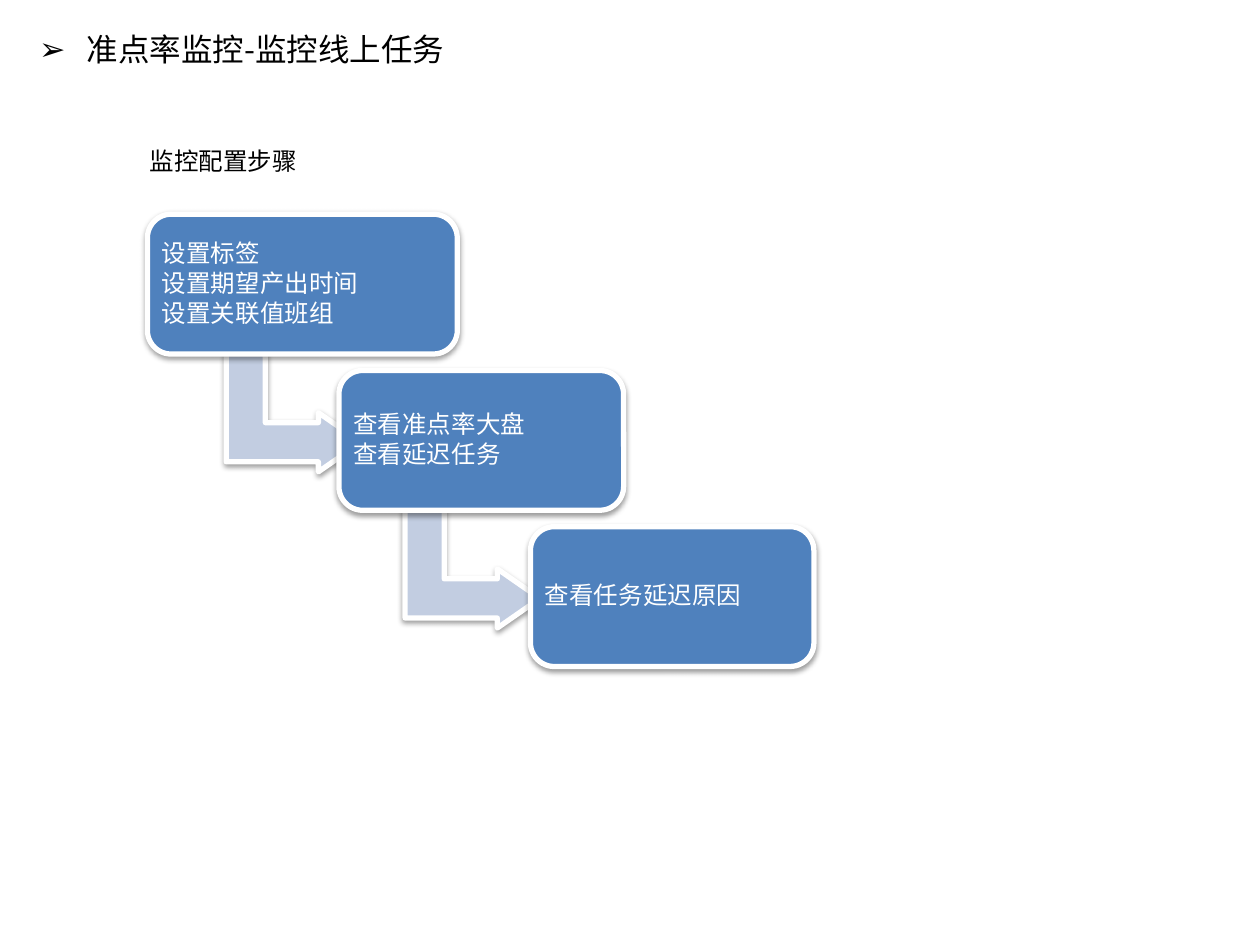
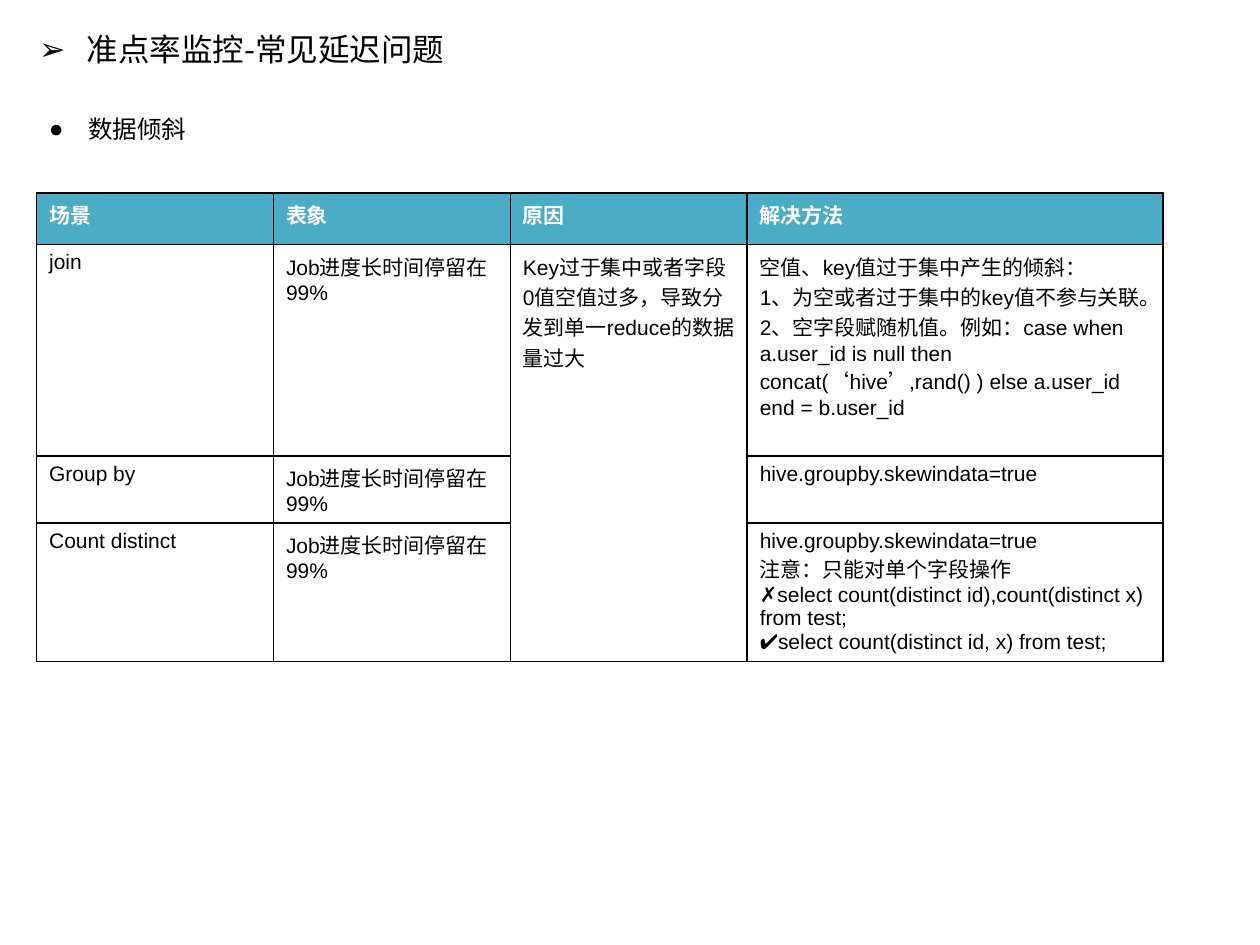
from dataclasses import dataclass
from typing import Any

from lxml import etree
from pptx import Presentation
from pptx.dml.color import RGBColor
from pptx.enum.shapes import MSO_SHAPE
from pptx.enum.text import MSO_ANCHOR, MSO_AUTO_SIZE, PP_ALIGN
from pptx.oxml.ns import qn
from pptx.util import Inches, Pt

ROUND_BOX = MSO_SHAPE.ROUNDED_RECTANGLE
BENT_ARROW = MSO_SHAPE.BENT_UP_ARROW
TOP, MIDDLE = MSO_ANCHOR.TOP, MSO_ANCHOR.MIDDLE
LEFT = PP_ALIGN.LEFT
GROW = MSO_AUTO_SIZE.SHAPE_TO_FIT_TEXT

COLORS = {
    "text": "000000",
    "light": "FFFFFF",
    "step": "4F81BD",
    "arrow": "C2CDE1",
    "header": "4BACC6",
    "border": "000000",
}
FORMATS = {
    "title": {"name": "Noto Sans CJK SC", "size": Pt(18), "bold": False, "color": "text"},
    "label": {"name": "Calibri", "size": Pt(14), "bold": False, "color": "text"},
    "step": {"name": "Calibri", "size": Pt(14), "bold": False, "color": "light"},
    "header": {"name": "Calibri", "size": Pt(12), "bold": True, "color": "light"},
    "body": {"name": "Arial", "size": Pt(12), "bold": False, "color": "text"},
}


@dataclass(frozen=True)
class Bullet:
    char: str
    indent: float


@dataclass(frozen=True)
class Step:
    lines: tuple[str, ...]
    width: float
    arrow_offset: float | None = None  # arrow frame, from the left of the box


TITLE_BULLET = Bullet("➢", 0.38)
LABEL_BULLET = Bullet("●", 0.31)

# Slide 1: steps run down a diagonal
STEPS = (
    Step(("设置标签", "设置期望产出时间", "设置关联值班组"), 2.46, 0.69),
    Step(("查看准点率大盘", "查看延迟任务"), 2.26, 0.59),
    Step(("查看任务延迟原因",), 2.25),
)
STEP_LEFT, STEP_TOP, STEP_HEIGHT = 1.17, 1.7, 1.11
STEP_RIGHT_BY, STEP_DOWN_BY = 1.52, 1.24
ARROW_DROP, ARROW_WIDTH, ARROW_HEIGHT = 1.04, 0.94, 1.07

# Slide 2: table content, with one cause shared by all scenes
SYMPTOM = "Job进度长时间停留在99%"
CAUSE = "Key过于集中或者字段0值空值过多，导致分发到单一reduce的数据量过大"
SKEW_SETTING = "hive.groupby.skewindata=true"
CAUSE_COLUMN = 2
COLUMN_WIDTHS = (1.88, 1.88, 1.88, 3.3)
ROW_HEIGHTS = (0.41, 1.68, 0.53, 1.08)
ROWS = (
    ("场景", "表象", "原因", "解决方法"),
    ("join", SYMPTOM, CAUSE,
     "空值、key值过于集中产生的倾斜：\n"
     "1、为空或者过于集中的key值不参与关联。\n"
     "2、空字段赋随机值。例如：case when a.user_id is null then "
     "concat(‘hive’,rand() ) else a.user_id end = b.user_id"),
    ("Group by", SYMPTOM, "", SKEW_SETTING),
    ("Count distinct", SYMPTOM, "",
     f"{SKEW_SETTING}\n注意：只能对单个字段操作\n"
     "✗select count(distinct id),count(distinct x) from test;\n"
     "✔select count(distinct id, x) from test;"),
)


def rgb(color: str) -> RGBColor:
    return RGBColor.from_string(COLORS[color])


def add_bullet(para: Any, bullet: Bullet) -> None:
    properties = para._p.get_or_add_pPr()
    properties.set("marL", str(Inches(bullet.indent)))
    properties.set("indent", str(-Inches(bullet.indent)))
    etree.SubElement(properties, qn("a:buFont"), typeface="Arial")
    etree.SubElement(properties, qn("a:buChar"), char=bullet.char)


def write(frame: Any, text: str, style: str, bullet: Bullet | None = None) -> None:
    """Fill a text frame, one paragraph a line."""
    for index, line in enumerate(text.split("\n")):
        para = frame.add_paragraph() if index else frame.paragraphs[0]
        para.alignment = LEFT
        if bullet:
            add_bullet(para, bullet)
        span = para.add_run()
        span.text = line
        for name, value in FORMATS[style].items():
            if name == "color":
                span.font.color.rgb = rgb(value)
            else:
                setattr(span.font, name, value)


def add_page(deck: Any, title: str) -> Any:
    page = deck.slides.add_slide(deck.slide_layouts[5])
    box = page.shapes.title
    box.left, box.top = Inches(0.21), Inches(0.19)
    box.width, box.height = Inches(5.87), Inches(0.4)
    frame = box.text_frame
    frame.vertical_anchor, frame.word_wrap, frame.auto_size = TOP, True, GROW
    write(frame, title, "title", TITLE_BULLET)
    return page


def add_label(page: Any, text: str, left: float, top: float, width: float,
              bullet: Bullet | None = None) -> None:
    box = page.shapes.add_textbox(
        Inches(left), Inches(top), Inches(width), Inches(0.34))
    frame = box.text_frame
    frame.word_wrap, frame.auto_size = False, GROW
    write(frame, text, "label", bullet)


def add_raised_shape(page: Any, kind: Any, left: float, top: float, width: float,
                     height: float, fill: str, adjustments: tuple[float, ...]) -> Any:
    """Add a white-edged shape with a soft shadow below it."""
    shape = page.shapes.add_shape(
        kind, Inches(left), Inches(top), Inches(width), Inches(height))
    for index, value in enumerate(adjustments):
        shape.adjustments[index] = value
    shape.fill.solid()
    shape.fill.fore_color.rgb = rgb(fill)
    shape.line.color.rgb = rgb("light")
    shape.line.width = Pt(3)
    shape.shadow.inherit = False
    effects = shape._element.spPr.find(qn("a:effectLst"))
    shadow = etree.SubElement(effects, qn("a:outerShdw"), blurRad="40000",
                              dist="20000", dir="5400000", rotWithShape="0")
    shade = etree.SubElement(shadow, qn("a:srgbClr"), val=COLORS["text"])
    etree.SubElement(shade, qn("a:alpha"), val="38000")
    return shape


def add_step(page: Any, step: Step, left: float, top: float) -> None:
    if step.arrow_offset is not None:
        arrow = add_raised_shape(
            page, BENT_ARROW, left + step.arrow_offset, top + ARROW_DROP,
            ARROW_WIDTH, ARROW_HEIGHT, "arrow", (0.33, 0.25, 0.36))
        arrow.rotation = 90
    box = add_raised_shape(page, ROUND_BOX, left, top, step.width, STEP_HEIGHT,
                           "step", (0.17,))
    frame = box.text_frame
    frame.word_wrap, frame.vertical_anchor = True, MIDDLE
    for side in ("left", "top", "right", "bottom"):
        # The rounded corners already inset the text sideways and downwards
        setattr(frame, f"margin_{side}", Inches(0.06))
    write(frame, "\n".join(step.lines), "step")
    for para in frame.paragraphs:
        para.line_spacing, para.space_after = 0.9, Pt(2)


def add_borders(cell: Any) -> None:
    properties = cell._tc.get_or_add_tcPr()
    for index, side in enumerate(("lnL", "lnR", "lnT", "lnB")):
        line = etree.Element(qn(f"a:{side}"), w=str(Pt(1)))
        fill = etree.SubElement(line, qn("a:solidFill"))
        etree.SubElement(fill, qn("a:srgbClr"), val=COLORS["border"])
        properties.insert(index, line)


def add_skew_table(page: Any) -> None:
    table = page.shapes.add_table(
        len(ROWS), len(COLUMN_WIDTHS), Inches(0.29), Inches(1.53),
        Inches(sum(COLUMN_WIDTHS)), Inches(sum(ROW_HEIGHTS))).table
    for column, width in zip(table.columns, COLUMN_WIDTHS):
        column.width = Inches(width)
    for row, height in zip(table.rows, ROW_HEIGHTS):
        row.height = Inches(height)
    for row_index, texts in enumerate(ROWS):
        style, fill = ("body", "light") if row_index else ("header", "header")
        for column_index, text in enumerate(texts):
            cell = table.cell(row_index, column_index)
            cell.fill.solid()
            cell.fill.fore_color.rgb = rgb(fill)
            add_borders(cell)
            if text:
                write(cell.text_frame, text, style)
    table.cell(1, CAUSE_COLUMN).merge(table.cell(len(ROWS) - 1, CAUSE_COLUMN))


def main() -> None:
    deck = Presentation()
    deck.slide_width, deck.slide_height = Inches(10), Inches(7.5)

    # Slide 1: configuration steps
    page = add_page(deck, "准点率监控-监控线上任务")
    for index, step in enumerate(STEPS):
        add_step(page, step, STEP_LEFT + index * STEP_RIGHT_BY,
                 STEP_TOP + index * STEP_DOWN_BY)
    add_label(page, "监控配置步骤", 1.09, 1.11, 1.38)

    # Slide 2: common causes of delay
    page = add_page(deck, "准点率监控-常见延迟问题")
    add_skew_table(page)
    add_label(page, "数据倾斜", 0.29, 0.86, 1.31, LABEL_BULLET)

    deck.save("out.pptx")


if __name__ == "__main__":
    main()
